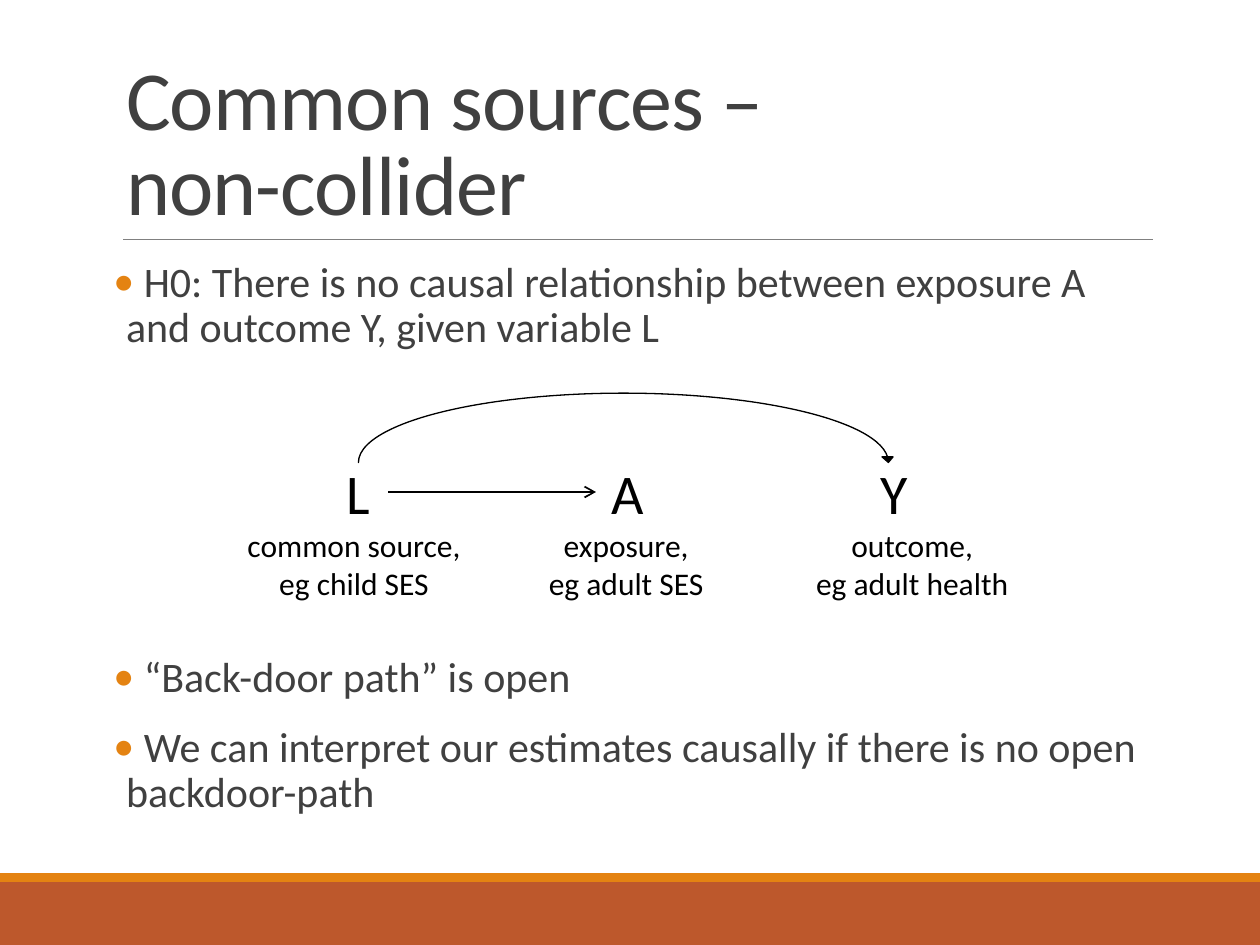
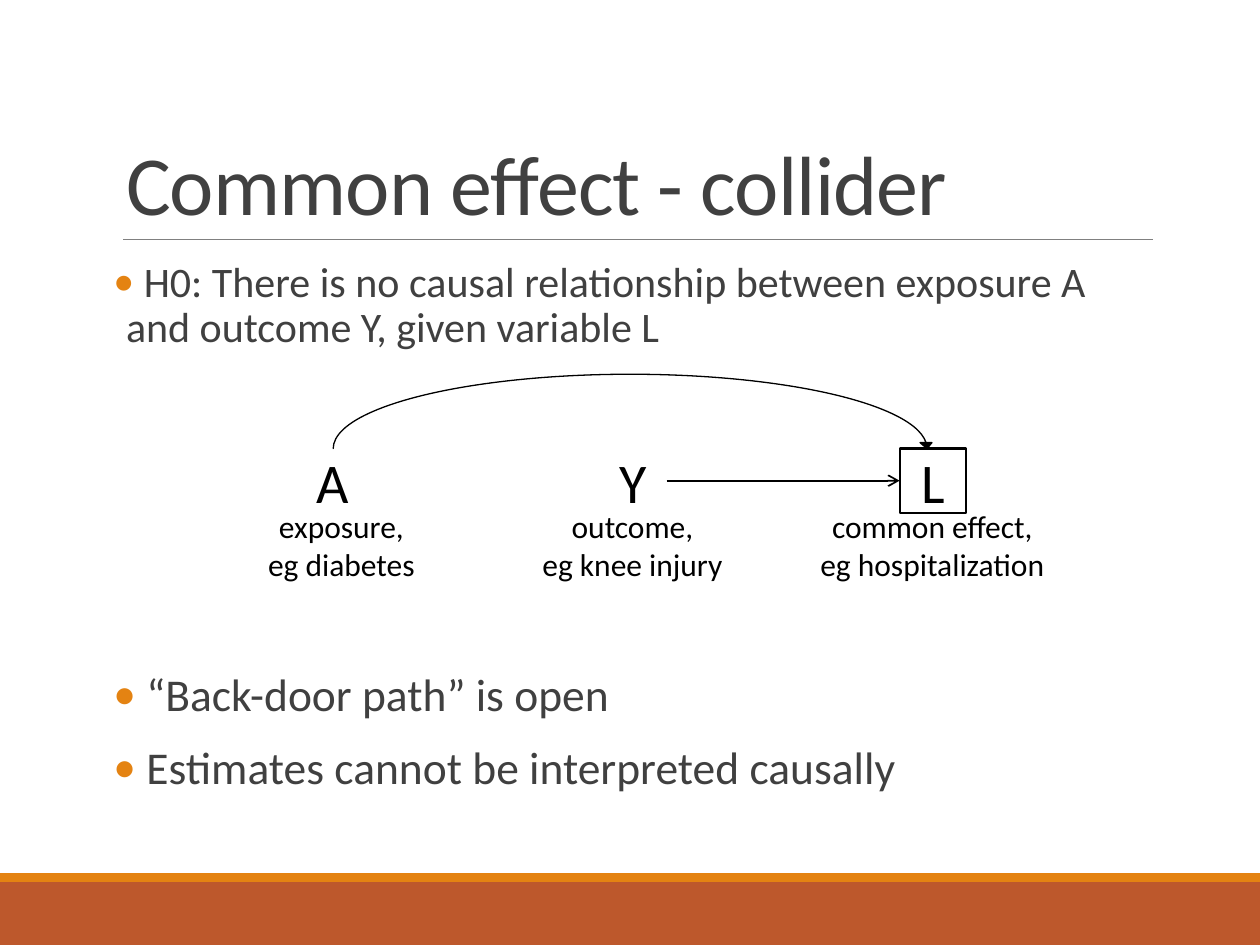
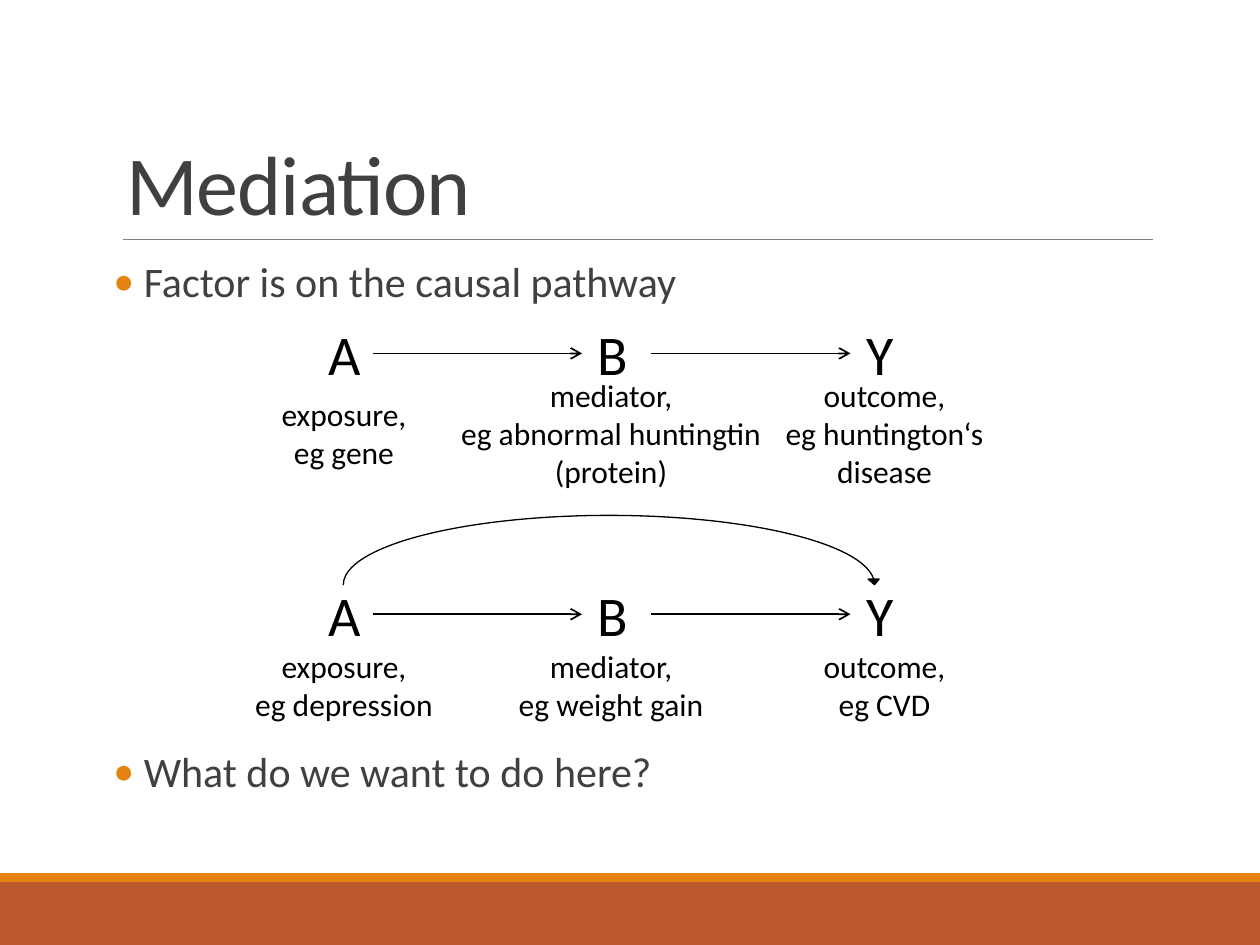
from lxml import etree
from pptx import Presentation
from pptx import util as u
from pptx.dml.color import RGBColor
from pptx.enum import shapes, text
from pptx.oxml import ns

Inches, Pt = u.Inches, u.Pt
FONT = "Calibri"
COLOURS = {"band": "BD582C", "accent": "E48312", "rule": "808080",
           "text": "404040", "diagram": "000000"}
HYPOTHESIS = (" H0: There is no causal relationship between exposure A "
              "and outcome Y, given variable L")
LABEL_WIDTH, LABEL_HEIGHT = 2.68, 0.79

# Bullets: (text, size, space before in points)
# Nodes: (letter, left, label left, label lines, boxed)
# Arrows: (from node, to node, gap after the start node)
SLIDES = [
    {"title": ["Common sources –", "non-collider"],
     "bullets": [(HYPOTHESIS, 24, 0),
                 (" “Back-door path” is open", 24, 172),
                 (" We can interpret our estimates causally if there is no open "
                  "backdoor-path", 24, 12)],
     "diagrams": [
         {"top": 3.67, "size": (0.47, 0.47), "label_top": 4.08, "arc": 0.55,
          "nodes": [("L", 2.61, 1.47, ["common source,", "eg child SES"], False),
                    ("A", 4.73, 3.63, ["exposure,", "eg adult SES"], False),
                    ("Y", 6.86, 5.9, ["outcome,", "eg adult health"], False)],
          "arrows": [(0, 1, 0)]}]},
    {"title": ["Common effect - collider"],
     "bullets": [(HYPOTHESIS, 24, 0),
                 (" “Back-door path” is open", 26, 181),
                 (" Estimates cannot be interpreted causally", 26, 12)],
     "diagrams": [
         {"top": 3.56, "size": (0.53, 0.51), "label_top": 3.93, "arc": 0.59,
          "nodes": [("A", 2.38, 1.37, ["exposure,", "eg diabetes"], False),
                    ("Y", 4.76, 3.68, ["outcome,", "eg knee injury"], False),
                    ("L", 7.14, 6.06, ["common effect,", "eg hospitalization"], True)],
          "arrows": [(1, 2, 0)]}]},
    {"title": ["Mediation"],
     "bullets": [(" Factor is on the causal pathway", 24, 0),
                 (" What do we want to do here?", 24, 252)],
     "diagrams": [
         {"top": 2.57, "size": (0.47, 0.47), "label_top": 3.04, "arc": 0,
          "nodes": [("A", 2.49, 1.39, ["exposure,", "eg gene"], False),
                    ("B", 4.62, 3.51,
                     ["mediator,", "eg abnormal huntingtin (protein)"], False),
                    ("Y", 6.75, 5.68,
                     ["outcome,", "eg huntington‘s", "disease"], False)],
          "arrows": [(0, 1, 0), (1, 2, 0.08)]},
         {"top": 4.64, "size": (0.47, 0.47), "label_top": 5.04, "arc": 0.55,
          "nodes": [("A", 2.49, 1.39, ["exposure,", "eg depression"], False),
                    ("B", 4.62, 3.51, ["mediator,", "eg weight gain"], False),
                    ("Y", 6.75, 5.68, ["outcome,", "eg CVD"], False)],
          "arrows": [(0, 1, 0), (1, 2, 0.08)]}]},
]


def colour(name):
    return RGBColor.from_string(COLOURS[name])


def place(shape, left, top, width, height):
    shape.left, shape.top = Inches(left), Inches(top)
    shape.width, shape.height = Inches(width), Inches(height)


def add_run(paragraph, words, size, colour_name):
    run = paragraph.add_run()
    run.text = words
    run.font.name, run.font.size = FONT, Pt(size)
    run.font.color.rgb = colour(colour_name)
    return run


def add_shape(slide, kind, box, fill=None, line=None, line_width=0.75):
    shape = slide.shapes.add_shape(kind, *map(Inches, box))
    shape.shadow.inherit = False
    if fill:
        shape.fill.solid()
        shape.fill.fore_color.rgb = colour(fill)
    else:
        shape.fill.background()
    if line:
        shape.line.color.rgb = colour(line)
        shape.line.width = Pt(line_width)
    else:
        shape.line.fill.background()
    return shape


def add_line(slide, start, end, colour_name, width):
    line = slide.shapes.add_connector(shapes.MSO_CONNECTOR.STRAIGHT,
                                      *map(Inches, start + end))
    line.line.color.rgb = colour(colour_name)
    line.line.width = Pt(width)
    etree.SubElement(line.element.spPr, ns.qn("a:effectLst"))
    return line


def add_centred_text(slide, box, lines, size, boxed=False):
    kinds = shapes.MSO_SHAPE
    kind = kinds.RECTANGLE if boxed else kinds.ROUNDED_RECTANGLE
    shape = add_shape(slide, kind, box, line="diagram" if boxed else None,
                      line_width=1.25)
    frame = shape.text_frame
    frame.word_wrap = True
    frame.vertical_anchor = text.MSO_ANCHOR.MIDDLE
    for index, words in enumerate(lines):
        paragraph = frame.add_paragraph() if index else frame.paragraphs[0]
        paragraph.alignment = text.PP_ALIGN.CENTER
        add_run(paragraph, words, size, "diagram")
    return shape


def add_frame(slide):
    """Draw the bands and title rule, then hand them to the shared layout."""
    rectangle = shapes.MSO_SHAPE.RECTANGLE
    parts = [add_shape(slide, rectangle, (0, 7, 10, 0.5), "band"),
             add_shape(slide, rectangle, (0, 6.93, 10, 0.07), "accent"),
             add_line(slide, (0.98, 1.9), (9.15, 1.9), "rule", 0.5)]
    for part in parts:
        slide.slide_layout.shapes.element.append(part.element)


def fill_title(title, lines):
    place(title, 0.9, 0.31, 8.25, 1.59)
    frame = title.text_frame
    frame.auto_size = text.MSO_AUTO_SIZE.NONE
    frame.vertical_anchor = text.MSO_ANCHOR.BOTTOM
    paragraph = frame.paragraphs[0]
    paragraph.alignment = text.PP_ALIGN.LEFT
    paragraph.line_spacing = 0.85
    for index, words in enumerate(lines):
        if index:
            paragraph.add_line_break()
        run = add_run(paragraph, words, 48, "text")
        run.font._element.set("spc", "-50")


def add_bullet(paragraph):
    properties = paragraph._p.get_or_add_pPr()
    properties.set("marL", str(Inches(0.1)))
    properties.set("indent", str(-Inches(0.1)))
    bullet_colour = etree.SubElement(properties, ns.qn("a:buClr"))
    etree.SubElement(bullet_colour, ns.qn("a:srgbClr"), val=COLOURS["accent"])
    etree.SubElement(properties, ns.qn("a:buFont"), typeface=FONT)
    etree.SubElement(properties, ns.qn("a:buChar"), char="•")


def fill_body(body, bullets):
    place(body, 0.9, 2.02, 8.25, 4.4)
    frame = body.text_frame
    frame.auto_size = text.MSO_AUTO_SIZE.NONE
    frame.margin_left = frame.margin_right = 0
    for index, (words, size, before) in enumerate(bullets):
        paragraph = frame.add_paragraph() if index else frame.paragraphs[0]
        add_bullet(paragraph)
        paragraph.line_spacing = 0.9
        paragraph.space_before, paragraph.space_after = Pt(before), Pt(2)
        add_run(paragraph, words, size, "text")


def draw_diagram(slide, diagram):
    top, (width, height) = diagram["top"], diagram["size"]
    nodes = diagram["nodes"]
    node_shapes = [add_centred_text(slide, (left, top, width, height), [letter], 32, boxed)
                   for letter, left, _, _, boxed in nodes]

    # Straight arrows between neighbours
    middle = top + height / 2
    for source, target, gap in diagram["arrows"]:
        start = nodes[source][1] + width + gap
        arrow = add_line(slide, (start, middle), (nodes[target][1], middle), "diagram", 1)
        if not gap:
            arrow.begin_connect(node_shapes[source], 3)
        arrow.end_connect(node_shapes[target], 1)
        etree.SubElement(arrow.line._get_or_add_ln(), ns.qn("a:tailEnd"), type="arrow")

    # Arc from the centre of the first node to the centre of the last
    if diagram["arc"]:
        first, last = nodes[0][1], nodes[-1][1]
        arc = add_shape(slide, shapes.MSO_SHAPE.CURVED_DOWN_ARROW,
                        (first + width / 2, top - diagram["arc"], last - first, diagram["arc"]),
                        "diagram", "diagram")
        for index, value in enumerate((0, 0.16, 0.08)):
            arc.adjustments[index] = value

    for _, _, left, lines, _ in nodes:
        add_centred_text(slide, (left, diagram["label_top"], LABEL_WIDTH, LABEL_HEIGHT),
                         lines, 18)


def main():
    presentation = Presentation()
    presentation.slide_width, presentation.slide_height = Inches(10), Inches(7.5)
    layout = presentation.slide_layouts[1]
    for index, content in enumerate(SLIDES):
        slide = presentation.slides.add_slide(layout)
        if index == 0:
            add_frame(slide)
        fill_title(slide.shapes.title, content["title"])
        fill_body(slide.placeholders[1], content["bullets"])
        for diagram in content["diagrams"]:
            draw_diagram(slide, diagram)
    presentation.save("out.pptx")


if __name__ == "__main__":
    main()
